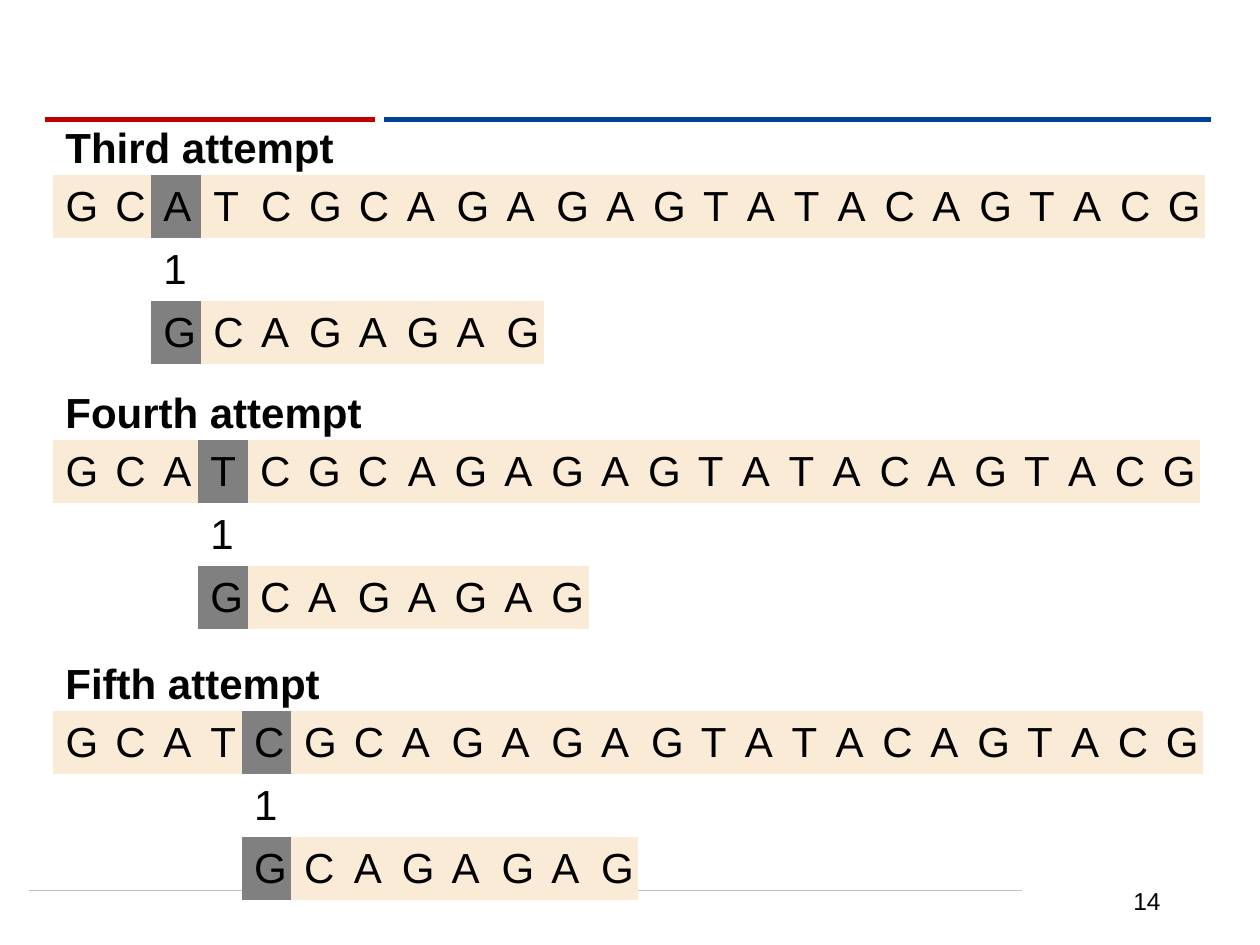
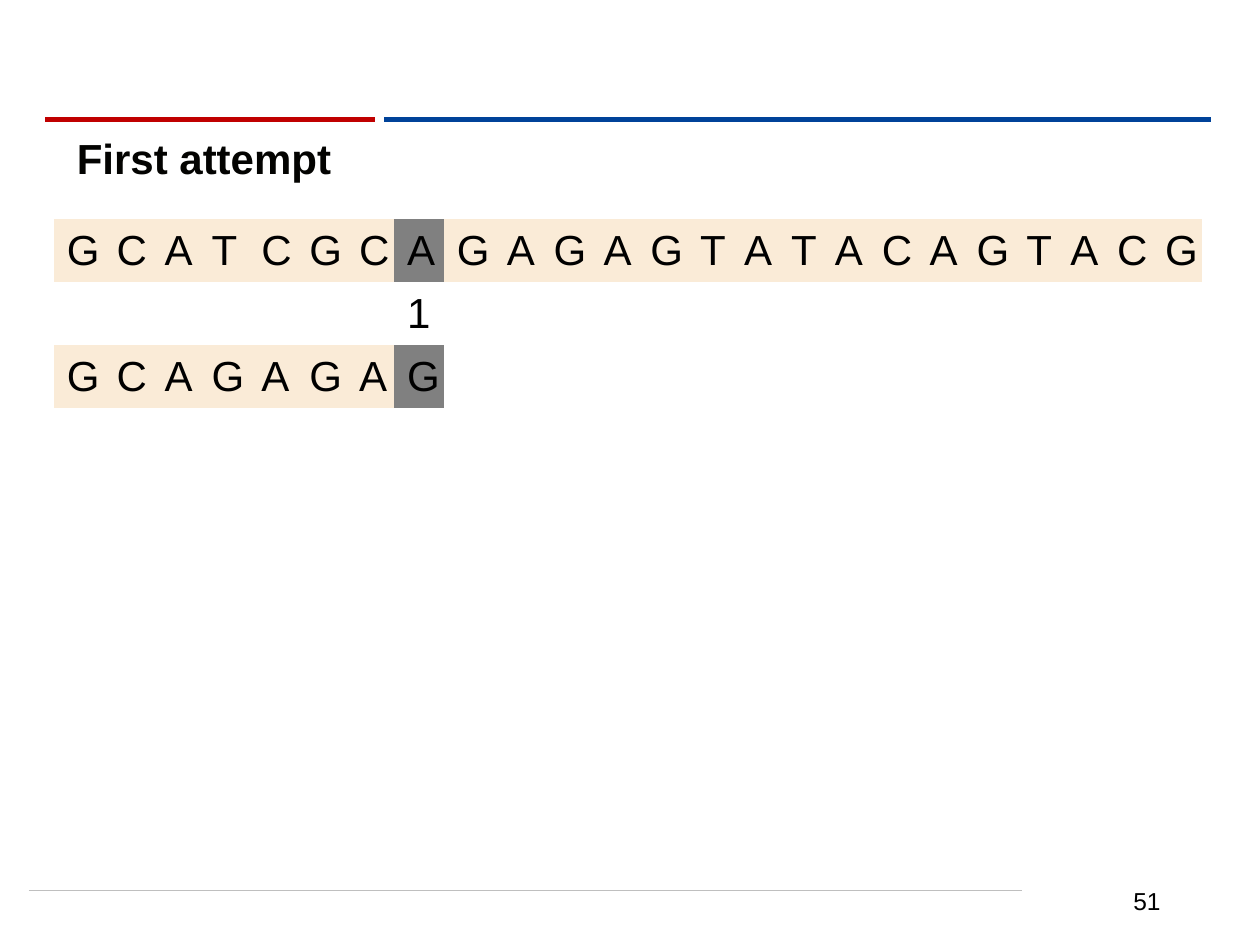
from pptx import Presentation
from pptx.dml.color import RGBColor
from pptx.enum import shapes, text
from pptx.oxml import ns, xmlchemy
from pptx.util import Pt

BLACK = RGBColor(0, 0, 0)
INK = RGBColor(0x03, 0x03, 0x01)
WHITE = RGBColor(0xFF, 0xFF, 0xFF)
CREAM = RGBColor(0xFA, 0xEB, 0xD7)
GREY = RGBColor(0x80, 0x80, 0x80)
SILVER = RGBColor(0xBF, 0xBF, 0xBF)
BLUE = RGBColor(0, 0x42, 0x99)
RED = RGBColor(0xC0, 0, 0)

FONT = "Arial"
PLAIN = "{2D5ABB26-0587-4C30-8999-92F81FD0307C}"
TEXT = "GCATCGCAGAGAGTATACAGTACG"
WORD = "GCAGAGAG"
WIDTHS = {"G": 28.5, "C": 27.4, "A": 26.8, "T": 25.1}
ROW = 36


def write(frame, words, size, color=BLACK, bold=False, align=None):
    para = frame.paragraphs[0]
    para.alignment = align
    run = para.add_run()
    run.text = words
    run.font.name = FONT
    run.font.size = Pt(size)
    run.font.bold = bold
    run.font.color.rgb = color


def add_text(slide, words, left, top, width, height, size, **style):
    box = slide.shapes.add_textbox(Pt(left), Pt(top), Pt(width), Pt(height))
    frame = box.text_frame
    frame.word_wrap = True
    frame.vertical_anchor = text.MSO_ANCHOR.MIDDLE
    write(frame, words, size, **style)


def add_rule(slide, start, end, y, color, weight):
    rule = slide.shapes.add_connector(
        shapes.MSO_CONNECTOR.STRAIGHT, Pt(start), Pt(y), Pt(end), Pt(y))
    rule.line.color.rgb = color
    rule.line.width = Pt(weight)
    rule._element.spPr.append(xmlchemy.OxmlElement("a:effectLst"))


def add_page(deck, number):
    slide = deck.slides.add_slide(deck.slide_layouts[6])
    add_rule(slide, 16.5, 584, 509, SILVER, 0.5)
    add_rule(slide, 219.5, 692, 68.4, BLUE, 3)
    add_rule(slide, 26, 214.5, 68.4, RED, 3)
    add_text(slide, number, 508.3, 500.4, 162, 28.8, 14,
             align=text.PP_ALIGN.RIGHT)
    return slide


def put(cell, sign, color):
    cell.fill.solid()
    cell.fill.fore_color.rgb = color
    cell.margin_right = 0
    cell.vertical_anchor = text.MSO_ANCHOR.MIDDLE
    write(cell.text_frame, sign, 24)


def blank(grid, row, first, stop):
    if first < stop:
        cell = grid.cell(row, first)
        cell.merge(grid.cell(row, stop - 1))
        cell.fill.background()


def add_match(slide, left, top, shift, miss):
    count, stop = len(TEXT), shift + len(WORD)
    sizes = [WIDTHS[sign] for sign in TEXT]
    for col, sign in enumerate(WORD, shift):
        sizes[col] = max(sizes[col], WIDTHS[sign])
    grid = slide.shapes.add_table(
        3, count, Pt(left), Pt(top), Pt(sum(sizes)), Pt(3 * ROW)).table
    grid.first_row = grid.horz_banding = False
    grid._tbl.tblPr.find(ns.qn("a:tableStyleId")).text = PLAIN
    for col, size in zip(grid.columns, sizes):
        col.width = Pt(size)
    for row, signs, first in ((0, TEXT, 0), (2, WORD, shift)):
        for col, sign in enumerate(signs, first):
            put(grid.cell(row, col), sign, GREY if col == miss else CREAM)
    put(grid.cell(1, miss), "1", WHITE)
    blank(grid, 1, 0, miss)
    blank(grid, 1, miss + 1, count)
    blank(grid, 2, 0, shift)
    blank(grid, 2, stop, count)


def add_try(slide, title, head, left, top, shift, miss):
    x, y, width = head
    add_text(slide, title, x, y, width, ROW, 24, color=INK, bold=True)
    add_match(slide, left, top, shift, miss)


def main():
    deck = Presentation()
    deck.slide_width, deck.slide_height = Pt(720), Pt(540)

    slide = add_page(deck, "14")
    add_try(slide, "Third attempt", (30.3, 66, 173), 30.3, 100, 2, 2)
    add_try(slide, "Fourth attempt", (30.3, 217, 189), 30.3, 251.5, 3, 3)
    add_try(slide, "Fifth attempt", (30.3, 372, 165), 30.3, 406.3, 4, 4)

    slide = add_page(deck, "51")
    add_try(slide, "First attempt", (36.8, 72, 165), 31, 125.3, 0, 7)

    deck.save("out.pptx")


if __name__ == "__main__":
    main()
